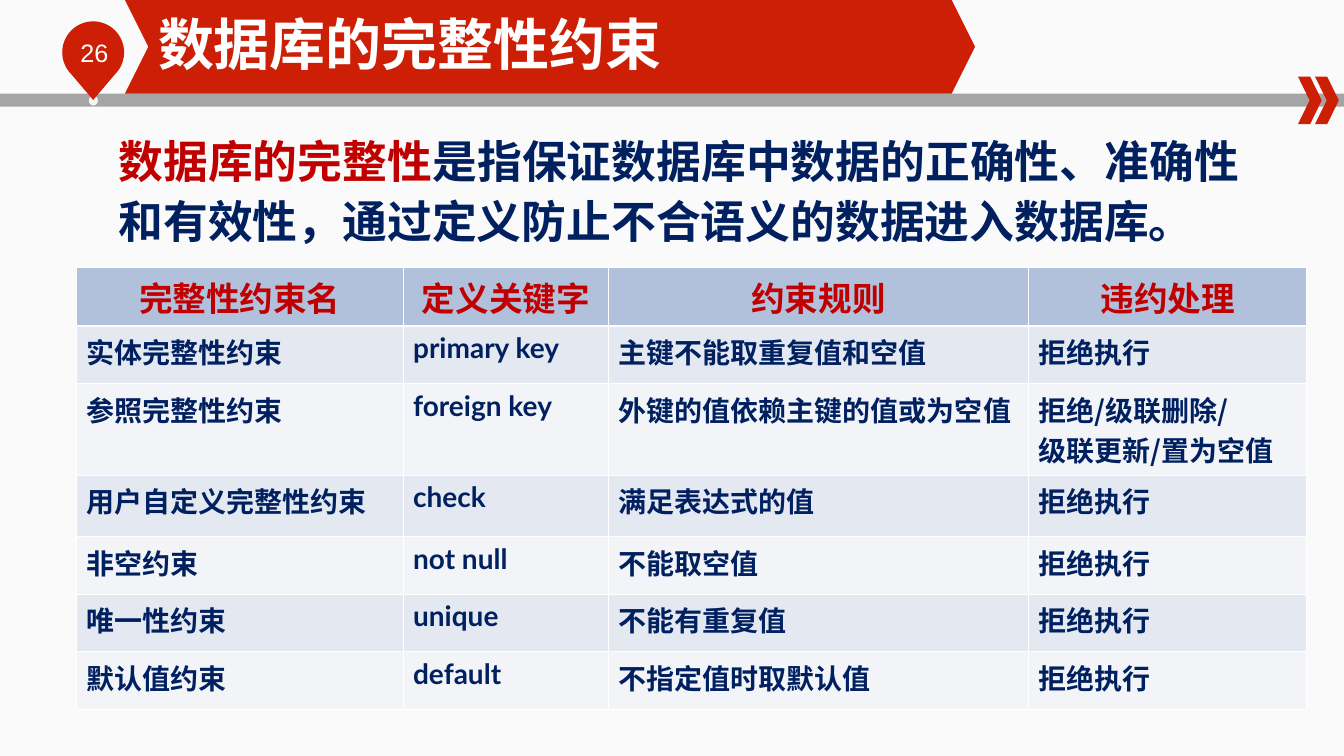
import math
from dataclasses import dataclass

from lxml import etree
from pptx import Presentation
from pptx.dml.color import RGBColor
from pptx.enum import shapes, text
from pptx.oxml import ns
from pptx.util import Cm, Pt

RED = RGBColor(0xCD, 0x1F, 0x06)
DARK_RED = RGBColor(0xC0, 0x00, 0x00)
NAVY = RGBColor(0x00, 0x20, 0x60)
WHITE = RGBColor(0xFF, 0xFF, 0xFF)
GREY = RGBColor(0xA5, 0xA5, 0xA5)
PALE_GREY = RGBColor(0xF6, 0xF6, 0xF6)
HEADER_BLUE = RGBColor(0xB2, 0xC1, 0xDB)
BAND_DARK = RGBColor(0xE4, 0xE9, 0xF1)
BAND_LIGHT = RGBColor(0xF2, 0xF4, 0xF8)
BACKGROUND = (RGBColor(0xFA, 0xFA, 0xFA), RGBColor(0xFC, 0xFC, 0xFC))

CJK = "Noto Sans CJK SC"
LATO = "Lato"
SHAPE = shapes.MSO_SHAPE


@dataclass(frozen=True)
class Ornament:
    kind: SHAPE
    left: float
    top: float
    width: float
    height: float
    color: RGBColor
    notch: float | None = None


@dataclass(frozen=True)
class Style:
    size: float
    color: RGBColor
    font: str = CJK
    bold: bool = True


ORNAMENTS = [
    Ornament(SHAPE.RECTANGLE, 0, 2.36, 33.88, 0.33, GREY),
    Ornament(SHAPE.OVAL, 2.24, 2.41, 0.23, 0.25, PALE_GREY),
    Ornament(SHAPE.CHEVRON, 32.72, 1.93, 0.6, 1.2, RED, 0.49),
    Ornament(SHAPE.CHEVRON, 33.15, 1.93, 0.6, 1.2, RED, 0.49),
    Ornament(SHAPE.CHEVRON, 3.15, 0, 21.43, 2.36, RED, 0.25),
]

COLUMN_WIDTHS = [8.23, 5.18, 10.59, 7.01]
ROW_HEIGHTS = [1.45, 1.45, 1.96, 1.55, 1.45, 1.45, 1.45]
REJECT = "拒绝执行"
CONSTRAINTS = [
    ("完整性约束名", "定义关键字", "约束规则", "违约处理"),
    ("实体完整性约束", "primary key", "主键不能取重复值和空值", REJECT),
    ("参照完整性约束", "foreign key", "外键的值依赖主键的值或为空值",
     "拒绝/级联删除/\n级联更新/置为空值"),
    ("用户自定义完整性约束", "check", "满足表达式的值", REJECT),
    ("非空约束", "not null", "不能取空值", REJECT),
    ("唯一性约束", "unique", "不能有重复值", REJECT),
    ("默认值约束", "default", "不指定值时取默认值", REJECT),
]


def add_span(para, words: str, style: Style) -> None:
    span = para.add_run()
    span.text = words
    span.font.size = Pt(style.size)
    span.font.bold = style.bold
    span.font.name = style.font
    span.font.color.rgb = style.color
    east_asian = etree.Element(ns.qn("a:ea"), typeface=CJK)
    span.font._element.find(ns.qn("a:latin")).addnext(east_asian)


def paint(shape, color: RGBColor) -> None:
    shape.shadow.inherit = False
    shape.fill.solid()
    shape.fill.fore_color.rgb = color
    shape.line.fill.background()


def add_ornament(page, item: Ornament) -> None:
    shape = page.shapes.add_shape(
        item.kind, Cm(item.left), Cm(item.top), Cm(item.width), Cm(item.height))
    if item.notch is not None:
        shape.adjustments[0] = item.notch
    paint(shape, item.color)


def add_pin(page, center_x: float, center_y: float, radius: float, tip_y: float) -> None:
    angles = [math.radians(degree) for degree in range(135, 406, 5)]
    arc = [(Cm(center_x + radius * math.cos(angle)), Cm(center_y + radius * math.sin(angle)))
           for angle in angles]
    outline = page.shapes.build_freeform(Cm(center_x), Cm(tip_y))
    outline.add_line_segments(arc, close=True)
    paint(outline.convert_to_shape(), RED)


def add_box(page, left: float, top: float, width: float, height: float):
    box = page.shapes.add_textbox(Cm(left), Cm(top), Cm(width), Cm(height))
    box.text_frame.word_wrap = True
    return box.text_frame.paragraphs[0]


def set_borders(cell, top: float, bottom: float) -> None:
    properties = cell._tc.get_or_add_tcPr()
    widths = {"a:lnL": 0.45, "a:lnR": 0.45, "a:lnT": top, "a:lnB": bottom}
    for place, (tag, width) in enumerate(widths.items()):
        line = etree.Element(ns.qn(tag), w=str(Pt(width)))
        fill = etree.SubElement(line, ns.qn("a:solidFill"))
        etree.SubElement(fill, ns.qn("a:srgbClr"), val=str(WHITE))
        properties.insert(place, line)


def fill_cell(cell, words: str, row: int, column: int) -> None:
    header = row == 0
    cell.fill.solid()
    cell.fill.fore_color.rgb = HEADER_BLUE if header else BAND_DARK if row % 2 else BAND_LIGHT
    set_borders(cell, 1.47 if row == 1 else 0.45, 1.47 if header else 0.45)
    body_font = CJK if column == 3 else LATO
    style = Style(24, DARK_RED, LATO) if header else Style(20, NAVY, body_font)
    frame = cell.text_frame
    for number, line in enumerate(words.split("\n")):
        para = frame.add_paragraph() if number else frame.paragraphs[0]
        para.alignment = text.PP_ALIGN.CENTER if header else text.PP_ALIGN.LEFT
        add_span(para, line, style)


def add_constraint_table(page) -> None:
    table = page.shapes.add_table(
        len(ROW_HEIGHTS), len(COLUMN_WIDTHS), Cm(1.93), Cm(6.73),
        Cm(sum(COLUMN_WIDTHS)), Cm(sum(ROW_HEIGHTS))).table
    table.first_row = table.horz_banding = False
    for column, width in zip(table.columns, COLUMN_WIDTHS):
        column.width = Cm(width)
    for row, height in zip(table.rows, ROW_HEIGHTS):
        row.height = Cm(height)
    for row, entries in enumerate(CONSTRAINTS):
        for column, words in enumerate(entries):
            fill_cell(table.cell(row, column), words, row, column)


def place_title(page) -> None:
    title = page.shapes.title
    title.element.getparent().append(title.element)
    title.left, title.top, title.width, title.height = Cm(3.73), Cm(0.2), Cm(18.77), Cm(1.75)
    frame = title.text_frame
    frame.auto_size = text.MSO_AUTO_SIZE.NONE
    frame.vertical_anchor = text.MSO_ANCHOR.MIDDLE
    para = frame.paragraphs[0]
    para.alignment = text.PP_ALIGN.LEFT
    add_span(para, "数据库的完整性约束", Style(40, WHITE))


def set_background(page) -> None:
    fill = page.background.fill
    fill.gradient()
    fill.gradient_angle = 270
    for stop, color in zip(fill.gradient_stops, BACKGROUND):
        stop.color.rgb = color


def main() -> None:
    deck = Presentation()
    deck.slide_width, deck.slide_height = Cm(33.88), Cm(19.05)
    page = deck.slides.add_slide(deck.slide_layouts[5])
    set_background(page)
    for item in ORNAMENTS:
        add_ornament(page, item)
    add_pin(page, 2.35, 1.32, 0.78, 2.52)
    add_span(add_box(page, 1.78, 0.81, 1.93, 1.02), "26", Style(18, WHITE, "Arial", False))
    place_title(page)
    add_constraint_table(page)
    definition = add_box(page, 2.74, 3.12, 29.21, 3.25)
    definition.line_spacing = 1.1
    add_span(definition, "数据库的完整性", Style(32, DARK_RED))
    add_span(definition,
             "是指保证数据库中数据的正确性、准确性和有效性，通过定义防止不合语义的数据进入数据库。",
             Style(32, NAVY))
    deck.save("out.pptx")


if __name__ == "__main__":
    main()
